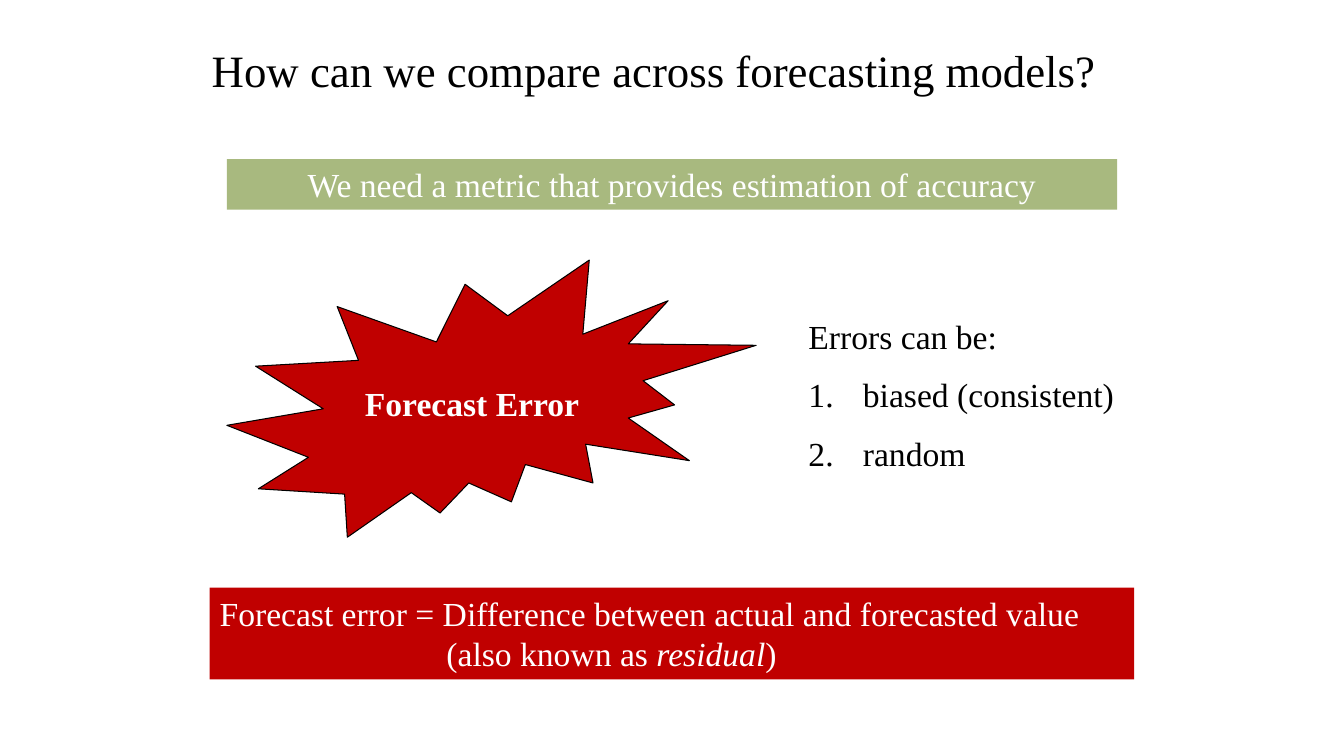
import dataclasses
import typing

import pptx
import pptx.dml.color
import pptx.enum.shapes
import pptx.enum.text
import pptx.oxml
import pptx.oxml.ns
import pptx.util

Inches = pptx.util.Inches
Pt = pptx.util.Pt
Shapes = pptx.enum.shapes.MSO_SHAPE
Align = pptx.enum.text.PP_ALIGN
Anchor = pptx.enum.text.MSO_ANCHOR

COLORS = {"ink": "000000", "paper": "FFFFFF", "sage": "A8B97F", "red": "C00000"}
FONT = "Times New Roman"


@dataclasses.dataclass
class Line:
    runs: list[tuple[str, dict[str, typing.Any]]]
    format: dict[str, typing.Any] = dataclasses.field(default_factory=dict)
    hanging: float = 0
    numbered: bool = False


@dataclasses.dataclass
class Panel:
    box: tuple[float, float, float, float]
    lines: list[Line]
    geometry: typing.Any = Shapes.RECTANGLE
    fill: str = ""
    outline: str = ""
    color: str = "paper"
    size: float = 24
    frame: dict[str, typing.Any] = dataclasses.field(default_factory=dict)


def rgb(name: str) -> pptx.dml.color.RGBColor:
    return pptx.dml.color.RGBColor.from_string(COLORS[name])


def apply(target: typing.Any, values: dict[str, typing.Any]) -> None:
    for name, value in values.items():
        setattr(target, name, value)


def write_line(paragraph: typing.Any, line: Line, panel: Panel) -> None:
    apply(paragraph, {"alignment": Align.LEFT, "space_before": Pt(0)} | line.format)
    if line.hanging:
        properties = paragraph._p.get_or_add_pPr()
        properties.set("marL", str(Inches(line.hanging)))
        properties.set("indent", str(-Inches(line.hanging)))
        if line.numbered:
            numbering = pptx.oxml.parse_xml(
                f'<a:buAutoNum {pptx.oxml.ns.nsdecls("a")} type="arabicPeriod"/>')
            properties.append(numbering)
    for text, style in line.runs:
        run = paragraph.add_run()
        run.text = text
        apply(run.font, {"name": FONT, "size": Pt(panel.size)} | style)
        run.font.color.rgb = rgb(panel.color)


def fill_panel(shape: typing.Any, panel: Panel) -> None:
    left, top, width, height = map(Inches, panel.box)
    apply(shape, {"left": left, "top": top, "width": width, "height": height})
    frame = shape.text_frame
    apply(frame, {"word_wrap": True, "vertical_anchor": Anchor.TOP,
                  "auto_size": pptx.enum.text.MSO_AUTO_SIZE.NONE} | panel.frame)
    for index, line in enumerate(panel.lines):
        paragraph = frame.add_paragraph() if index else frame.paragraphs[0]
        write_line(paragraph, line, panel)


def add_panel(slide: typing.Any, panel: Panel) -> None:
    box = map(Inches, panel.box)
    if not panel.fill:
        fill_panel(slide.shapes.add_textbox(*box), panel)
        return
    shape = slide.shapes.add_shape(panel.geometry, *box)
    shape.shadow.inherit = False
    shape.fill.solid()
    shape.fill.fore_color.rgb = rgb(panel.fill)
    if panel.outline:
        shape.line.color.rgb = rgb(panel.outline)
        shape.line.width = Pt(0.75)
    else:
        shape.line.fill.background()
    fill_panel(shape, panel)


CENTERED = {"alignment": Align.CENTER}
SPACED = {"space_before": Pt(13)}

HEADING = Panel((2, 0.37, 9.17, 0.63),
                [Line([("How can we compare across forecasting models?", {})])],
                color="ink", size=32)

PANELS = [
    # Need for a metric
    Panel((2.25, 1.58, 8.83, 0.5),
          [Line([("We need a metric that provides estimation of accuracy", {})], CENTERED)],
          fill="sage"),
    # Central burst
    Panel((2.25, 2.58, 5.25, 2.75),
          [Line([("Forecast Error", {"bold": True})], CENTERED)],
          geometry=Shapes.EXPLOSION2, fill="red", outline="ink",
          frame={"vertical_anchor": Anchor.MIDDLE, "word_wrap": False}),
    # Definition
    Panel((2.08, 5.83, 9.17, 0.91),
          [Line([("Forecast error = Difference between actual and forecasted value "
                  "(also known as ", {}),
                 ("residual", {"italic": True}), (")", {})], hanging=2.25)],
          fill="red"),
    # Kinds of error
    Panel((7.92, 3.08, 3.58, 1.72),
          [Line([("Errors can be:", {})], hanging=0.54)]
          + [Line([(kind, {})], SPACED, hanging=0.54, numbered=True)
             for kind in ("biased (consistent)", "random")],
          color="ink"),
]


def main() -> None:
    deck = pptx.Presentation()
    apply(deck, {"slide_width": Inches(13.33), "slide_height": Inches(7.5)})
    slide = deck.slides.add_slide(deck.slide_layouts.get_by_name("Title Only"))
    fill_panel(slide.shapes.title, HEADING)
    for panel in PANELS:
        add_panel(slide, panel)
    deck.save("out.pptx")


if __name__ == "__main__":
    main()
